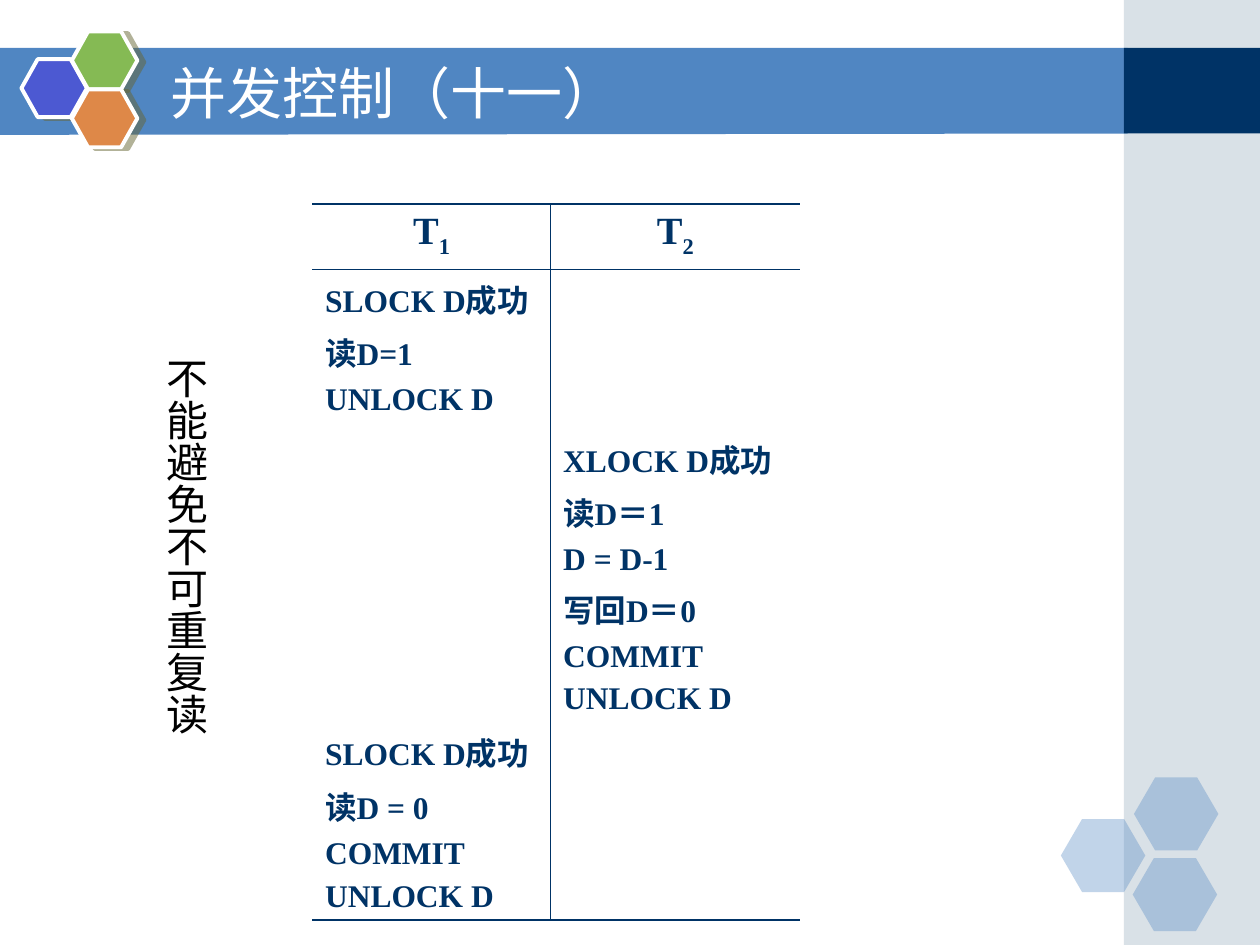
from lxml import etree
from pptx import Presentation
from pptx import util as u
from pptx.dml.color import RGBColor
from pptx.enum import shapes, text
from pptx.oxml.ns import qn

Inches, Pt = u.Inches, u.Pt
COLORS = {
    "band": "5086C2", "navy": "003366", "side": "A0B5C4", "white": "FFFFFF",
    "purple": "4C59D2", "green": "85BA54", "orange": "DE8848",
    "shadow": "666633", "black": "000000",
}


def add_filled(kind, left, top, width, height, color, opacity=100):
    shape = slide.shapes.add_shape(
        kind, Inches(left), Inches(top), Inches(width), Inches(height))
    shape.shadow.inherit = False
    shape.fill.solid()
    shape.fill.fore_color.rgb = RGBColor.from_string(COLORS[color])
    shape.line.fill.background()
    if opacity < 100:
        srgb = shape._element.spPr.find(qn("a:solidFill")).find(qn("a:srgbClr"))
        etree.SubElement(srgb, qn("a:alpha"), val=str(opacity * 1000))
    return shape


def format_runs(paragraph, size, font_name, color, bold=False):
    for run in paragraph.runs:
        run.font.size = Pt(size)
        run.font.name = font_name
        run.font.bold = bold
        run.font.color.rgb = RGBColor.from_string(COLORS[color])


presentation = Presentation()
presentation.slide_width = Inches(10)
presentation.slide_height = Inches(7.5)
slide = presentation.slides.add_slide(presentation.slide_layouts[5])

builder = slide.shapes.build_freeform(Inches(-0.01), Inches(0.38))
builder.add_line_segments(
    [(Inches(x), Inches(y)) for x, y in [(8.95, 0.38), (8.95, 1.06), (-0.01, 1.07)]])
band = builder.convert_to_shape()
band.shadow.inherit = False
band.fill.solid()
band.fill.fore_color.rgb = RGBColor.from_string(COLORS["band"])
band.line.fill.background()

add_filled(shapes.MSO_SHAPE.RECTANGLE, 8.92, 0, 1.08, 7.5, "side", 40)
add_filled(shapes.MSO_SHAPE.RECTANGLE, 8.92, 0.38, 1.08, 0.68, "navy")

for left, top in [(8.42, 6.5), (9, 6.17), (8.99, 6.81)]:
    hexagon = add_filled(shapes.MSO_SHAPE.HEXAGON, left, top, 0.67, 0.58, "band", 35)
    hexagon.adjustments[0] = 0.29

for left, top, color in [(0.17, 0.47, "purple"), (0.57, 0.25, "green"), (0.57, 0.71, "orange")]:
    hexagon = add_filled(shapes.MSO_SHAPE.HEXAGON, left, top, 0.52, 0.46, color)
    hexagon.adjustments[0] = 0.28
    hexagon.line.color.rgb = RGBColor.from_string(COLORS["white"])
    hexagon.line.width = Pt(2.25)
    effects = hexagon._element.spPr.find(qn("a:effectLst"))
    shadow = etree.SubElement(
        effects, qn("a:outerShdw"), dist=str(Pt(4.1)), dir=str(14 * 60000), rotWithShape="0")
    shadow_color = etree.SubElement(shadow, qn("a:srgbClr"), val=COLORS["shadow"])
    etree.SubElement(shadow_color, qn("a:alpha"), val="50000")

title = slide.shapes.title
slide.shapes._spTree.append(title._element)
title.left, title.top = Inches(1.25), Inches(0.42)
title.width, title.height = Inches(7.33), Inches(0.62)
title.text_frame.text = "并发控制（十一）"
title.text_frame.vertical_anchor = text.MSO_ANCHOR.MIDDLE
title.text_frame.paragraphs[0].alignment = text.PP_ALIGN.LEFT
format_runs(title.text_frame.paragraphs[0], 32, "DejaVu Sans", "white")

column_widths = [1.89, 1.98]
row_heights = [0.52, 1.27, 2.22, 1.49]
steps = [
    [["SLOCK D成功", "读D=1", "UNLOCK D"], []],
    [[], ["XLOCK D成功", "读D＝1", "D = D-1", "写回D＝0", "COMMIT", "UNLOCK D"]],
    [["SLOCK D成功", "读D = 0", "COMMIT", "UNLOCK D"], []],
]
table = slide.shapes.add_table(
    4, 2, Inches(2.48), Inches(1.62),
    Inches(sum(column_widths)), Inches(sum(row_heights))).table
table.first_row = False
table.horz_banding = False
for column, width in zip(table.columns, column_widths):
    column.width = Inches(width)
for row, height in zip(table.rows, row_heights):
    row.height = Inches(height)

for column_index in range(2):
    paragraph = table.cell(0, column_index).text_frame.paragraphs[0]
    paragraph.alignment = text.PP_ALIGN.CENTER
    paragraph.add_run().text = "T"
    subscript = paragraph.add_run()
    subscript.text = str(column_index + 1)
    format_runs(paragraph, 22, "Times New Roman", "navy", True)
    subscript.font._element.set("baseline", "-25000")

for row_index, row_steps in enumerate(steps, start=1):
    for column_index, lines in enumerate(row_steps):
        frame = table.cell(row_index, column_index).text_frame
        frame.text = "\n".join(lines)
        for index, paragraph in enumerate(frame.paragraphs):
            if index:
                paragraph.space_before = Pt(4.5)
            format_runs(paragraph, 18, "Times New Roman", "navy", True)

for row_index in range(4):
    for column_index in range(2):
        cell = table.cell(row_index, column_index)
        borders = {
            "lnL": 0.45 if column_index == 1 else 0,
            "lnR": 0.45 if column_index == 0 else 0,
            "lnT": {0: 1.08, 1: 0.45}.get(row_index, 0),
            "lnB": {0: 0.45, 3: 1.08}.get(row_index, 0),
        }
        properties = cell._tc.get_or_add_tcPr()
        for side, width in borders.items():
            border = etree.SubElement(properties, qn("a:" + side), w=str(Pt(width)))
            if width:
                fill = etree.SubElement(border, qn("a:solidFill"))
                etree.SubElement(fill, qn("a:srgbClr"), val=COLORS["navy"])
            else:
                etree.SubElement(border, qn("a:noFill"))
        cell.fill.background()

caption = slide.shapes.add_textbox(Inches(1.13), Inches(2.74), Inches(0.6), Inches(3.65))
frame = caption.text_frame
frame.word_wrap = True
frame.margin_left = frame.margin_right = Inches(0.05)
frame.margin_top = frame.margin_bottom = Inches(0.1)
frame._txBody.bodyPr.set("vert", "eaVert")
frame.text = "不能避免不可重复读"
format_runs(frame.paragraphs[0], 24, "Arial", "black")

presentation.save("out.pptx")
